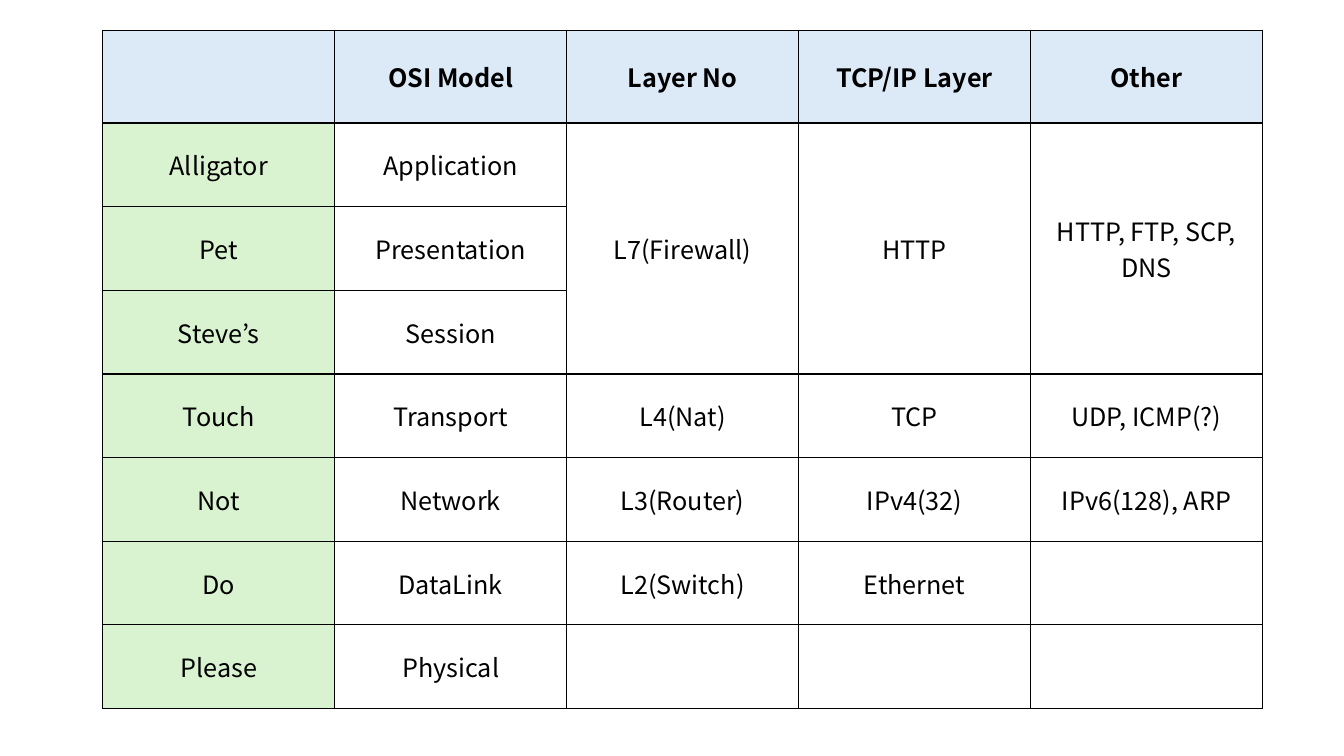
from lxml import etree
from pptx import Presentation
from pptx.dml.color import RGBColor
from pptx.enum.text import MSO_ANCHOR as Anchor, PP_ALIGN as Align
from pptx.oxml.ns import qn
from pptx.util import Inches, Pt

HEAD = ["", "OSI Model", "Layer No", "TCP/IP Layer", "Other"]
ROWS = [
    ["Alligator", "Application", "L7(Firewall)", "HTTP", "HTTP, FTP, SCP, DNS"],
    ["Pet", "Presentation", "", "", ""],
    ["Steve’s", "Session", "", "", ""],
    ["Touch", "Transport", "L4(Nat)", "TCP", "UDP, ICMP(?)"],
    ["Not", "Network", "L3(Router)", "IPv4(32)", "IPv6(128), ARP"],
    ["Do", "DataLink", "L2(Switch)", "Ethernet", ""],
    ["Please", "Physical", "", "", ""],
]
MERGED = (2, 3, 4)  # columns where the top three layers share one cell

FONT = "Noto Sans CJK KR"
BLACK = RGBColor(0x00, 0x00, 0x00)
BLUE = RGBColor(0xDC, 0xEA, 0xF7)
GREEN = RGBColor(0xD9, 0xF2, 0xD0)
LEFT, TOP = 1.02, 0.3
COL_W, HEAD_H, ROW_H = 2.3, 0.92, 0.83


def add_border(cell):
    props = cell._tc.get_or_add_tcPr()
    for side in ("lnL", "lnR", "lnT", "lnB"):
        line = etree.SubElement(props, qn(f"a:{side}"), w=str(Pt(1)))
        fill = etree.SubElement(line, qn("a:solidFill"))
        etree.SubElement(fill, qn("a:srgbClr"), val=str(BLACK))


def style_cell(cell, text, color, bold):
    add_border(cell)
    if color is None:
        cell.fill.background()
    else:
        cell.fill.solid()
        cell.fill.fore_color.rgb = color
    cell.vertical_anchor = Anchor.MIDDLE
    cell.text_frame.text = text
    para = cell.text_frame.paragraphs[0]
    para.alignment = Align.CENTER
    font = para.font
    for run in para.runs:
        font = run.font
    font.name, font.size, font.bold = FONT, Pt(18), bold
    font.color.rgb = BLACK


def main():
    deck = Presentation()
    deck.slide_width, deck.slide_height = Inches(13.33), Inches(7.5)
    slide = deck.slides.add_slide(deck.slide_layouts[6])

    lines = [HEAD] + ROWS
    width = COL_W * len(HEAD)
    height = HEAD_H + ROW_H * len(ROWS)
    table = slide.shapes.add_table(
        len(lines), len(HEAD),
        Inches(LEFT), Inches(TOP), Inches(width), Inches(height)).table
    table.first_row = table.horz_banding = False

    for col in table.columns:
        col.width = Inches(COL_W)
    for r, line in enumerate(lines):
        table.rows[r].height = Inches(ROW_H if r else HEAD_H)
        for c, text in enumerate(line):
            color = BLUE if r == 0 else GREEN if c == 0 else None
            style_cell(table.cell(r, c), text, color, r == 0)
    for c in MERGED:
        table.cell(1, c).merge(table.cell(3, c))

    deck.save("out.pptx")


if __name__ == "__main__":
    main()
